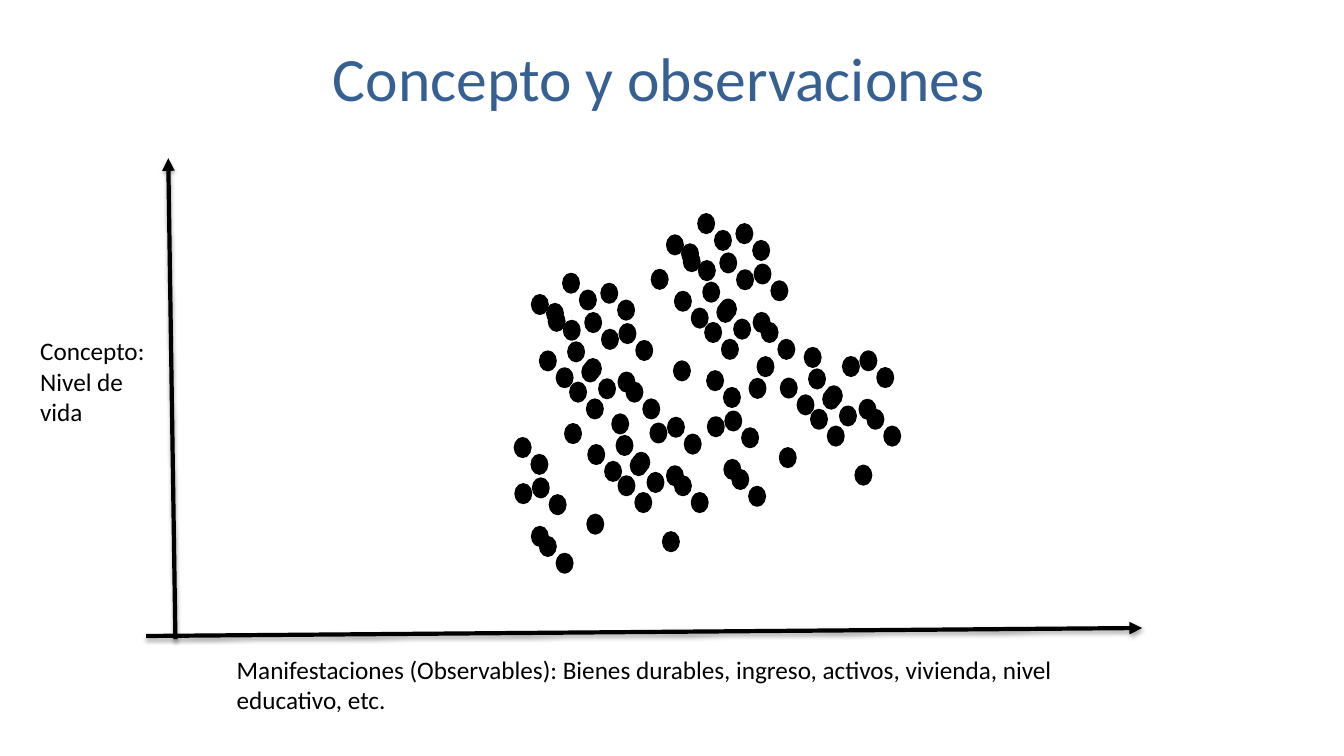
from lxml.etree import SubElement
from pptx import Presentation
from pptx.dml.color import RGBColor
from pptx.enum.shapes import MSO_CONNECTOR, MSO_SHAPE
from pptx.enum.text import MSO_ANCHOR, PP_ALIGN
from pptx.oxml import parse_xml
from pptx.oxml.ns import nsdecls, qn
from pptx.util import Pt

COLORS = {"title": "376092", "ink": "000000"}
FONT = "Calibri"
DOT_W, DOT_H = 10.8, 13
ECHO = 12  # a paired dot has a second one this far right and down


def with_echo(*dots):
    """Return the dots together with their shifted partners."""
    return list(dots) + echo(*dots)


def echo(*dots):
    return [(x + ECHO, y + ECHO) for x, y in dots]


# Parts of the point cloud, placed as in the first cloud
PARTS = {
    "top": [(391, 217.4), (418.3, 223.9)]
           + with_echo((402.5, 195.8), (380.2, 211)),
    "left": with_echo((416.2, 259.2), (406.1, 244.8), (385.9, 251.3), (407.5, 273.6))
            + echo((391, 217.4)),
    "right": with_echo((442.8, 231.8), (447.8, 273.6))
             + echo((418.3, 223.9)) + [(442.1, 266.4)],
    "crest": with_echo((429.8, 203)),
    "tip": [(465.8, 193)],
    "low": [(385.2, 301), (439.2, 313.5)],
}

# Shift of each cloud and the parts it shows
CLOUDS = [
    (0, 0, ("top", "left", "right", "crest", "tip")),
    (96.5, -42.6, ("top", "left", "right", "crest", "low")),
    (75.6, 62.4, ("right", "crest", "tip")),
    (172.1, 19.4, ("left", "right", "low")),
    (-61.9, 110.2, ("right", "crest", "tip")),
    (34.6, 66.9, ("left", "right", "low")),
]

SHADOW = (
    f'<a:effectLst {nsdecls("a")}>'
    '<a:outerShdw blurRad="39370" dist="22860" dir="5400000" rotWithShape="0">'
    '<a:srgbClr val="000000"><a:alpha val="35000"/></a:srgbClr>'
    '</a:outerShdw></a:effectLst>'
)


def add_run(p, text, size=18, color="ink", font=FONT):
    r = p.add_run()
    r.text = text
    r.font.size = Pt(size)
    r.font.name = font
    r.font.color.rgb = RGBColor.from_string(COLORS[color])


class SlideBuilder:
    def __init__(self, s):
        self.s = s
        self.ink = RGBColor.from_string(COLORS["ink"])

    def text(self, x, y, w, h, lines, align=PP_ALIGN.LEFT,
             anchor=MSO_ANCHOR.TOP, **fmt):
        tf = self.s.shapes.add_textbox(Pt(x), Pt(y), Pt(w), Pt(h)).text_frame
        tf.word_wrap = True
        tf.vertical_anchor = anchor
        for i, line in enumerate(lines):
            p = tf.add_paragraph() if i else tf.paragraphs[0]
            p.alignment = align
            add_run(p, line, **fmt)

    def dot(self, x, y):
        sp = self.s.shapes.add_shape(MSO_SHAPE.OVAL, Pt(x), Pt(y), Pt(DOT_W), Pt(DOT_H))
        sp.shadow.inherit = False
        sp.fill.solid()
        sp.fill.fore_color.rgb = self.ink
        sp.line.color.rgb = self.ink
        sp.line.width = Pt(2)

    def axis(self, x1, y1, x2, y2):
        """Draw a shadowed arrow from the first point to the second."""
        cx = self.s.shapes.add_connector(
            MSO_CONNECTOR.STRAIGHT, Pt(x1), Pt(y1), Pt(x2), Pt(y2))
        cx.line.color.rgb = self.ink
        cx.line.width = Pt(3)
        sp_pr = cx._element.spPr
        SubElement(sp_pr.find(qn("a:ln")), qn("a:tailEnd"), type="triangle")
        sp_pr.append(parse_xml(SHADOW))


def main():
    prs = Presentation()
    prs.slide_width, prs.slide_height = Pt(960), Pt(540)
    b = SlideBuilder(prs.slides.add_slide(prs.slide_layouts[6]))

    b.text(56.9, 14.4, 828, 80.6, ["Concepto y observaciones"],
           align=PP_ALIGN.CENTER, anchor=MSO_ANCHOR.MIDDLE, size=44, color="title")
    for dx, dy, parts in CLOUDS:
        for part in parts:
            for x, y in PARTS[part]:
                b.dot(x + dx, y + dy)

    b.axis(125.3, 456.5, 120.2, 113)
    b.axis(104.4, 454.3, 815.8, 448.6)
    b.text(21.6, 236.2, 103.7, 72.7, ["Concepto:", "Nivel de vida"])
    b.text(162, 463.7, 607, 51.1, [
        "Manifestaciones (Observables): Bienes durables, ingreso, activos, "
        "vivienda, nivel educativo, etc."])
    prs.save("out.pptx")


if __name__ == "__main__":
    main()
